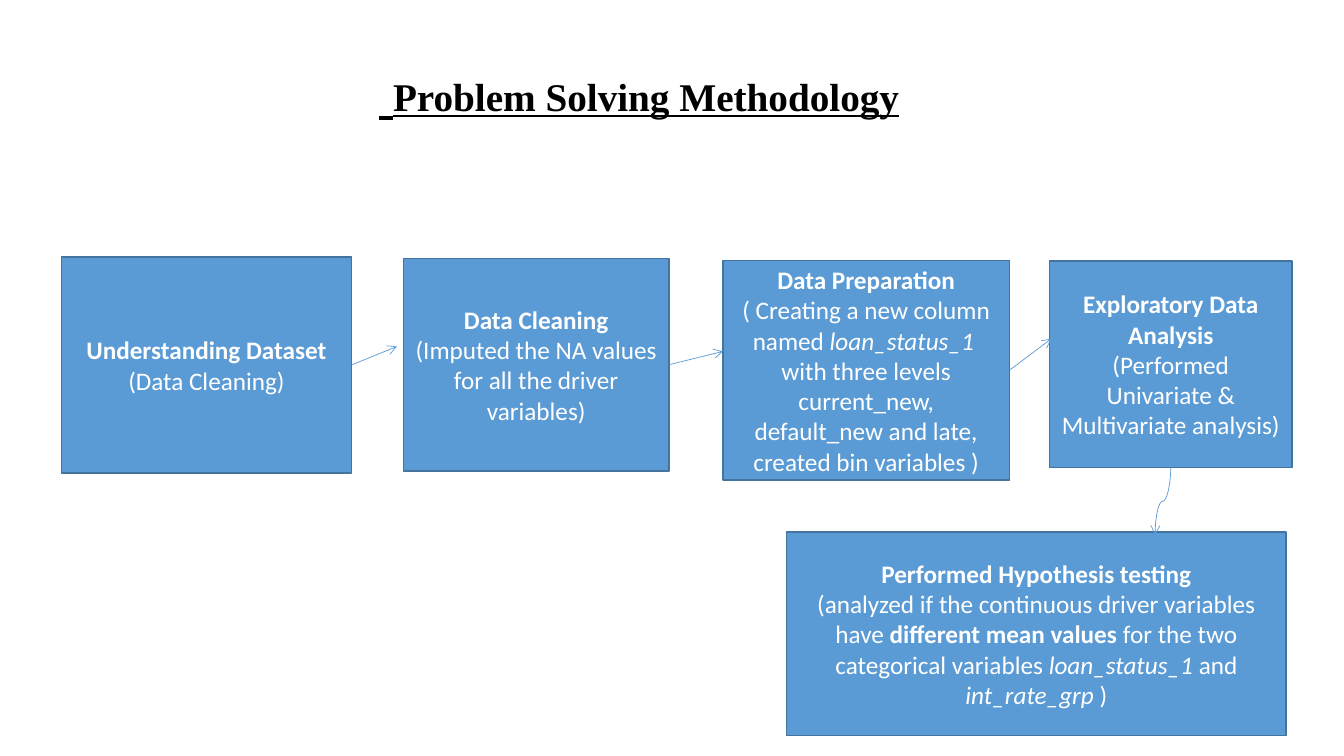
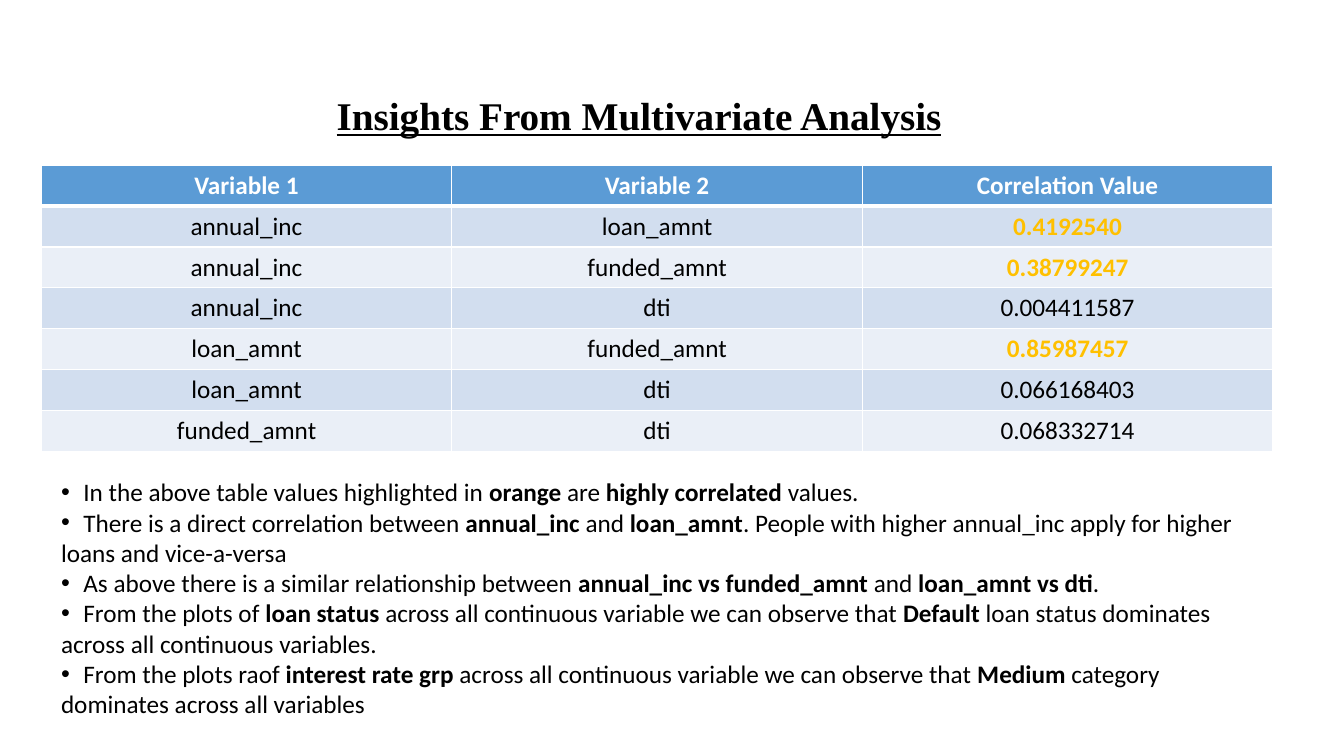
"""Build two slides on the method and the findings of a loan data study."""
from lxml import etree
from pptx import Presentation
from pptx.dml.color import RGBColor
from pptx.enum.shapes import MSO_CONNECTOR, MSO_SHAPE
from pptx.enum.text import MSO_ANCHOR, PP_ALIGN
from pptx.oxml.ns import qn
from pptx.util import Pt

RECTANGLE = MSO_SHAPE.RECTANGLE
STRAIGHT = MSO_CONNECTOR.STRAIGHT
CURVE = MSO_CONNECTOR.CURVE
MIDDLE = MSO_ANCHOR.MIDDLE
CENTER = PP_ALIGN.CENTER

BLUE = RGBColor(0x5B, 0x9B, 0xD5)
DARK_BLUE = RGBColor(0x43, 0x73, 0x9E)
BAND_DARK = RGBColor(0xD2, 0xDE, 0xEF)
BAND_LIGHT = RGBColor(0xEA, 0xEF, 0xF7)
ORANGE = RGBColor(0xFF, 0xC0, 0x00)
WHITE = RGBColor(0xFF, 0xFF, 0xFF)
BLACK = RGBColor(0x00, 0x00, 0x00)

BODY_FONT = "Calibri"
TITLE_FONT = "Times New Roman"
BOLD = {"bold": True}
ITALIC = {"italic": True}
PLAIN = {}

STEPS = [
    ((44, 183.5, 207, 154.5), "Understanding Dataset",
     [("(Data Cleaning)", PLAIN)]),
    ((288, 184.5, 190, 152), "Data Cleaning",
     [("(Imputed the NA values for all the driver variables)", PLAIN)]),
    ((516.5, 186, 204.5, 157), "Data Preparation",
     [("( Creating a new column named ", PLAIN), ("loan_status_1 ", ITALIC),
      (" with three levels current_new, default_new and late, "
       "created bin variables )", PLAIN)]),
    ((749.5, 186.5, 173.5, 147.5), "Exploratory Data Analysis",
     [("(Performed Univariate & Multivariate analysis)", PLAIN)]),
    ((562, 380, 356.5, 145.5), "Performed Hypothesis testing",
     [("(analyzed if the continuous driver variables have ", PLAIN),
      ("different mean values", BOLD),
      (" for the two categorical variables ", PLAIN),
      ("loan_status_1 ", ITALIC), ("and ", PLAIN),
      ("int_rate_grp ", ITALIC), (")", PLAIN)]),
]
ARROW_ENDS = [(283.5, 247.5), (516.5, 251), (751, 242)]
CURVE_END = (825, 382)

CORRELATIONS = [
    ("Variable 1", "Variable 2", "Correlation Value"),
    ("annual_inc", "loan_amnt", "0.4192540"),
    ("annual_inc", "funded_amnt", "0.38799247"),
    ("annual_inc", "dti", "0.004411587"),
    ("loan_amnt", "funded_amnt", "0.85987457"),
    ("loan_amnt", "dti", "0.066168403"),
    ("funded_amnt", "dti", "0.068332714"),
]
HIGH_CORRELATION = 0.3

INSIGHTS = [
    [("In the above table values highlighted in ", PLAIN), ("orange", BOLD),
     (" are ", PLAIN), ("highly correlated", BOLD), (" values.", PLAIN)],
    [("There is a direct correlation between ", PLAIN), ("annual_inc", BOLD),
     (" and ", PLAIN), ("loan_amnt", BOLD),
     (". People with higher annual_inc apply for higher loans and vice-a-versa", PLAIN)],
    [("As above there is a similar relationship between ", PLAIN),
     ("annual_inc vs funded_amnt", BOLD), (" and ", PLAIN),
     ("loan_amnt vs dti", BOLD), (".", PLAIN)],
    [("From the plots of ", PLAIN), ("loan status ", BOLD),
     ("across all continuous variable we can observe that ", PLAIN),
     ("Default ", BOLD),
     ("loan status dominates across all continuous variables.", PLAIN)],
    [("From the plots raof ", PLAIN), ("interest rate grp ", BOLD),
     ("across all continuous variable we can observe that ", PLAIN),
     ("Medium ", BOLD), ("category dominates across all variables", PLAIN)],
]


def add_text(paragraph, text, size=18, font=BODY_FONT, color=BLACK,
             bold=False, italic=False, underline=False):
    """Append one formatted run to a paragraph."""
    run = paragraph.add_run()
    run.text = text
    run.font.size = Pt(size)
    run.font.name = font
    run.font.color.rgb = color
    run.font.bold = bold
    run.font.italic = italic
    run.font.underline = underline


def add_text_frame(slide, box):
    """Add a wrapping text box and return its text frame."""
    text_frame = slide.shapes.add_textbox(*map(Pt, box)).text_frame
    text_frame.word_wrap = True
    return text_frame


def add_title(slide, text, top, height, lead=""):
    """Add the underlined title, with an optional larger lead-in."""
    text_frame = add_text_frame(slide, (89.5, top, 734, height))
    text_frame.vertical_anchor = MIDDLE
    paragraph = text_frame.paragraphs[0]
    paragraph.alignment = CENTER
    paragraph.line_spacing = 0.9
    style = {"font": TITLE_FONT, "bold": True, "underline": True}
    if lead:
        add_text(paragraph, lead, size=40, **style)
    add_text(paragraph, text, size=28, **style)


def add_step(slide, box, heading, details):
    """Add a process box with a bold heading above its details."""
    shape = slide.shapes.add_shape(RECTANGLE, *map(Pt, box))
    shape.shadow.inherit = False
    shape.fill.solid()
    shape.fill.fore_color.rgb = BLUE
    shape.line.color.rgb = DARK_BLUE
    shape.line.width = Pt(1)
    text_frame = shape.text_frame
    text_frame.word_wrap = True
    text_frame.vertical_anchor = MIDDLE
    for runs in ([(heading, BOLD)], details):
        first = runs is not details
        paragraph = text_frame.paragraphs[0] if first else text_frame.add_paragraph()
        paragraph.alignment = CENTER
        for text, style in runs:
            add_text(paragraph, text, color=WHITE, **style)


def add_arrow(slide, start, end, kind=STRAIGHT):
    """Add a thin connector with an open arrowhead at its end."""
    connector = slide.shapes.add_connector(kind, *map(Pt, (*start, *end)))
    connector.line.color.rgb = BLUE
    connector.line.width = Pt(0.5)
    properties = connector._element.spPr
    etree.SubElement(properties.find(qn("a:ln")), qn("a:tailEnd"), type="arrow")
    etree.SubElement(properties, qn("a:effectLst"))
    return connector


def add_down_curve(slide, start, end):
    """Add a curved arrow that runs down and to the left."""
    center_x, center_y = (start[0] + end[0]) / 2, (start[1] + end[1]) / 2
    half_length, half_shift = (end[1] - start[1]) / 2, (start[0] - end[0]) / 2
    connector = add_arrow(slide, (center_x - half_length, center_y - half_shift),
                          (center_x + half_length, center_y + half_shift), CURVE)
    connector._element.spPr.find(qn("a:xfrm")).set("rot", "5400000")


def set_borders(cell, row):
    """Draw white cell borders, thick below the header row."""
    properties = cell._tc.get_or_add_tcPr()
    thick_side = {0: "lnB", 1: "lnT"}.get(row)
    for side in ("lnL", "lnR", "lnT", "lnB"):
        width = Pt(3 if side == thick_side else 1)
        line = etree.SubElement(properties, qn(f"a:{side}"), w=str(int(width)))
        fill = etree.SubElement(line, qn("a:solidFill"))
        etree.SubElement(fill, qn("a:srgbClr"), val=str(WHITE))


def cell_style(row, column, text):
    """Return the text format of a table cell."""
    if row == 0:
        return {"color": WHITE, "bold": True}
    if column == 2 and float(text) > HIGH_CORRELATION:
        return {"color": ORANGE, "bold": True}
    return PLAIN


def add_correlation_table(slide, rows):
    """Add the banded table of correlation values."""
    box = (29.5, 118, 879.75, 29.2 * len(rows))
    table = slide.shapes.add_table(len(rows), len(rows[0]), *map(Pt, box)).table
    for row, values in enumerate(rows):
        band = BLUE if row == 0 else BAND_DARK if row % 2 else BAND_LIGHT
        for column, text in enumerate(values):
            cell = table.cell(row, column)
            set_borders(cell, row)
            cell.fill.solid()
            cell.fill.fore_color.rgb = band
            paragraph = cell.text_frame.paragraphs[0]
            paragraph.alignment = CENTER
            add_text(paragraph, text, **cell_style(row, column, text))


def add_bullets(slide, box, items):
    """Add a bulleted list whose wrapped lines return to the left edge."""
    text_frame = add_text_frame(slide, box)
    for index, runs in enumerate(items):
        paragraph = text_frame.add_paragraph() if index else text_frame.paragraphs[0]
        properties = paragraph._p.get_or_add_pPr()
        properties.set("marL", "0")
        properties.set("indent", "0")
        etree.SubElement(properties, qn("a:buFont"), typeface="Arial")
        etree.SubElement(properties, qn("a:buChar"), char="•")
        tabs = etree.SubElement(properties, qn("a:tabLst"))
        etree.SubElement(tabs, qn("a:tab"), pos=str(int(Pt(16))), algn="l")
        add_text(paragraph, "\t")
        for text, style in runs:
            add_text(paragraph, text, **style)


def build_methodology(slide):
    """Fill the slide that shows the steps of the study."""
    add_title(slide, "Problem Solving Methodology", 34, 66, lead=" ")
    for box, heading, details in STEPS:
        add_step(slide, box, heading, details)
    boxes = [box for box, _, _ in STEPS]
    for (left, top, width, height), end in zip(boxes, ARROW_ENDS):
        add_arrow(slide, (left + width, top + height / 2), end)
    left, top, width, height = boxes[3]
    add_down_curve(slide, (left + width / 2, top + height), CURVE_END)


def build_insights(slide):
    """Fill the slide that lists the correlations and what they mean."""
    add_correlation_table(slide, CORRELATIONS)
    add_title(slide, "Insights From Multivariate Analysis", 50.5, 67.5)
    add_bullets(slide, (36.5, 337, 877, 181.5), INSIGHTS)


def main():
    """Create and save the presentation."""
    presentation = Presentation()
    presentation.slide_width = Pt(960)
    presentation.slide_height = Pt(540)
    blank_layout = presentation.slide_layouts[6]
    for build in (build_methodology, build_insights):
        build(presentation.slides.add_slide(blank_layout))
    presentation.save("out.pptx")


if __name__ == "__main__":
    main()
